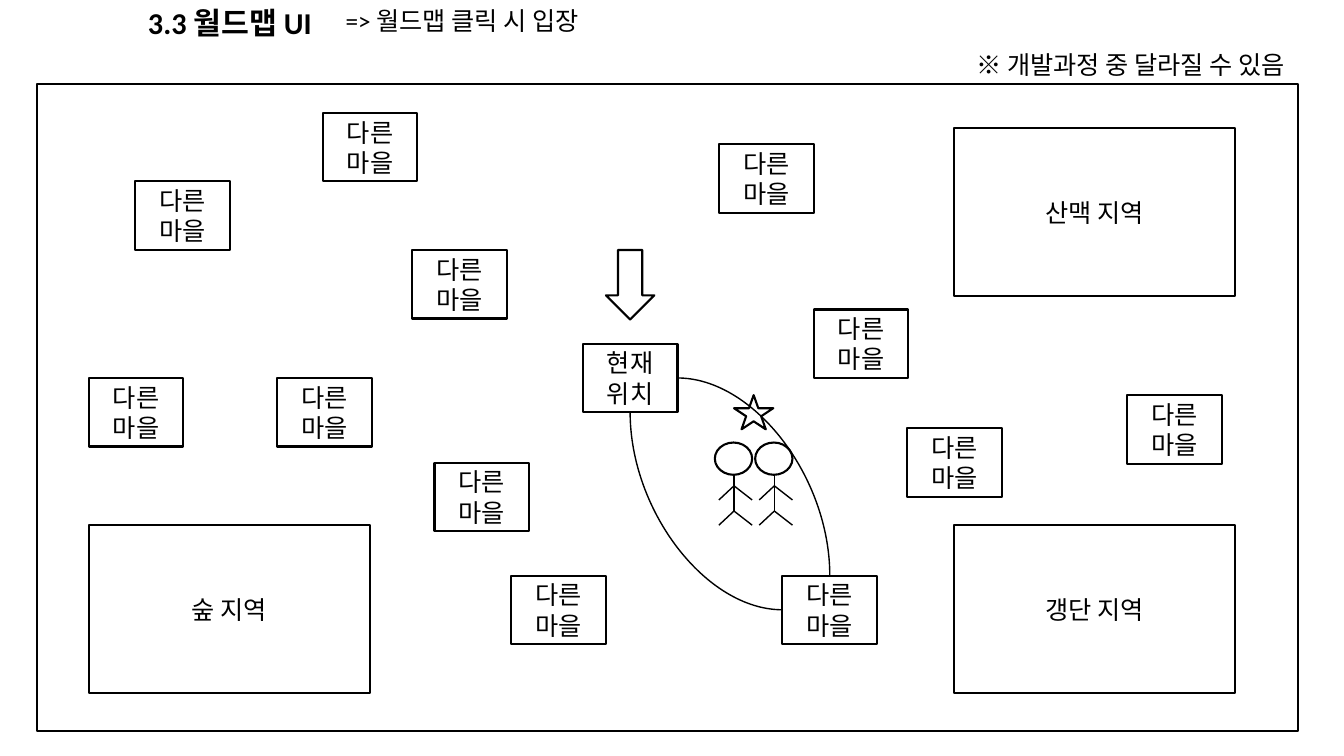
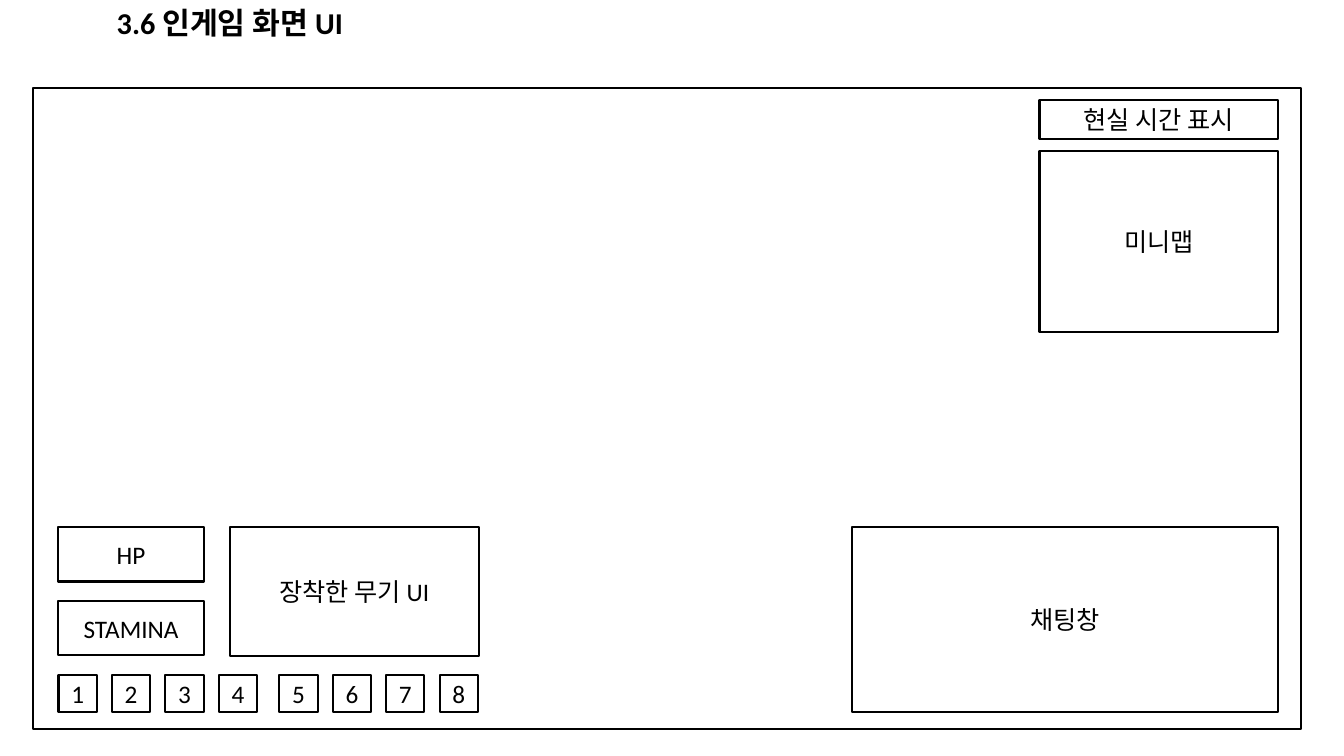
from pptx import Presentation
from pptx.dml.color import RGBColor
from pptx.enum.shapes import MSO_CONNECTOR as Connector, MSO_SHAPE as Shape
from pptx.enum.text import MSO_ANCHOR as Anchor, PP_ALIGN as Align
from pptx.oxml.ns import qn
from pptx.util import Inches, Pt
from lxml import etree

FONT = "Calibri"
INK = "000000"
PAPER = "FFFFFF"
BODY_SIZE = 18
TITLE_SIZE = 21.6
VILLAGE_SIZE = (0.94, 0.68)
REGION_SIZE = (2.79, 1.67)

# Positions inside the map frame
VILLAGES = [
    (10.81, 3.09), (7.7, 2.24), (4.7, 4.88), (3.94, 3.76),
    (2.38, 2.92), (0.51, 2.92), (0.97, 0.97), (2.83, 0.29),
    (3.72, 1.65), (6.76, 0.6), (8.63, 3.42),
]
REGIONS = [("산맥 지역", 9.09, 0.44), ("갱단 지역", 9.09, 4.38), ("숲 지역", 0.51, 4.38)]

# Panels inside the game screen frame: text, left, top, width, height
PANELS = [
    ("HP", 0.25, 4.36, 1.44, 0.54),
    ("STAMINA", 0.25, 5.09, 1.44, 0.54),
    ("장착한 무기 UI", 1.95, 4.36, 2.47, 1.28),
    ("채팅창", 8.12, 4.36, 4.23, 1.83),
    ("미니맵", 9.98, 0.63, 2.37, 1.79),
    ("현실 시간 표시", 9.98, 0.12, 2.37, 0.39),
]


def color(hex_value):
    return RGBColor.from_string(hex_value)


def set_text(shape, text, size=BODY_SIZE, bold=False, align=Align.CENTER, anchor=Anchor.MIDDLE):
    frame = shape.text_frame
    frame.word_wrap = True
    frame.vertical_anchor = anchor
    frame.text = text
    paragraph = frame.paragraphs[0]
    paragraph.alignment = align
    for run in paragraph.runs:
        run.font.name = FONT
        run.font.size = Pt(size)
        run.font.bold = bold
        run.font.color.rgb = color(INK)


def add_label(slide, text, left, top, width, height, **style):
    label = slide.shapes.add_textbox(*map(Inches, (left, top, width, height)))
    set_text(label, text, **style)


def add_outline(slide, left, top, width, height, text="", kind=Shape.RECTANGLE):
    shape = slide.shapes.add_shape(kind, *map(Inches, (left, top, width, height)))
    shape.shadow.inherit = False
    shape.fill.background()
    shape.line.color.rgb = color(INK)
    shape.line.width = Pt(1.5)
    if text:
        set_text(shape, text)
    return shape


def add_line(slide, start=(0, 0), end=(0, 0), kind=Connector.STRAIGHT):
    line = slide.shapes.add_connector(kind, *map(Inches, (*start, *end)))
    line.line.color.rgb = color(INK)
    line.line.width = Pt(1)
    etree.SubElement(line._element.spPr, qn("a:effectLst"))
    return line


def add_route(slide, start, start_site, end, end_site):
    """Quarter curve that leaves sideways and arrives vertically."""
    route = add_line(slide, kind=Connector.CURVE)
    route.begin_connect(start, start_site)
    route.end_connect(end, end_site)
    route._element.spPr.find(qn("a:prstGeom")).set("prst", "curvedConnector2")


def add_stick_figure(slide, left, top):
    add_outline(slide, left, top, 0.37, 0.32, kind=Shape.OVAL)
    center, shoulder, hip = left + 0.19, top + 0.43, top + 0.68
    add_line(slide, (center, top + 0.32), (center, hip))
    for joint in (shoulder, hip):
        for tip in (left + 0.04, left + 0.37):
            add_line(slide, (center, joint), (tip, joint + 0.14))


def add_titled_slide(presentation, title):
    slide = presentation.slides.add_slide(presentation.slide_layouts[6])
    slide.background.fill.solid()
    slide.background.fill.fore_color.rgb = color(PAPER)
    add_label(slide, title, 0, 0, 4.56, 0.44, size=TITLE_SIZE, bold=True)
    return slide


def add_world_map(slide, left, top, width, height):
    add_outline(slide, left, top, width, height)

    # Regions and villages
    for name, x, y in REGIONS:
        add_outline(slide, left + x, top + y, *REGION_SIZE, name)
    for x, y in VILLAGES:
        add_outline(slide, left + x, top + y, *VILLAGE_SIZE, "다른 마을")

    # Current position and the two routes to the destination
    current = add_outline(slide, left + 5.41, top + 2.58, *VILLAGE_SIZE, "현재 위치")
    destination = add_outline(slide, left + 7.39, top + 4.88, *VILLAGE_SIZE, "다른 마을")
    add_outline(slide, left + 5.64, top + 1.65, 0.48, 0.69, kind=Shape.DOWN_ARROW)
    add_route(slide, current, 3, destination, 0)
    add_route(slide, destination, 1, current, 2)

    # Travellers
    for x in (6.72, 7.12):
        add_stick_figure(slide, left + x, top + 3.56)
    add_outline(slide, left + 6.91, top + 3.09, 0.39, 0.34, kind=Shape.STAR_5_POINT)


def add_game_screen(slide, left, top, width, height):
    add_outline(slide, left, top, width, height)
    for text, x, y, panel_width, panel_height in PANELS:
        add_outline(slide, left + x, top + y, panel_width, panel_height, text)

    # Quick slots in two sets of four
    for index in range(8):
        half, place = divmod(index, 4)
        x = (0.25, 2.44)[half] + place * 0.53
        add_outline(slide, left + x, top + 5.83, 0.38, 0.36, str(index + 1))


def main():
    presentation = Presentation()
    presentation.slide_width = Inches(13.33)
    presentation.slide_height = Inches(7.5)

    world = add_titled_slide(presentation, "3.3 월드맵 UI")
    add_world_map(world, 0.37, 0.83, 12.5, 6.42)
    add_label(world, "※ 개발과정 중 달라질 수 있음", 9.4, 0.44, 3.63, 0.4, anchor=Anchor.TOP)
    add_label(world, "=> 월드맵 클릭 시 입장", 3.33, 0, 2.78, 0.39, align=Align.LEFT, anchor=Anchor.TOP)

    game = add_titled_slide(presentation, "3.6 인게임 화면 UI")
    add_game_screen(game, 0.33, 0.87, 12.57, 6.36)

    presentation.save("out.pptx")


if __name__ == "__main__":
    main()
